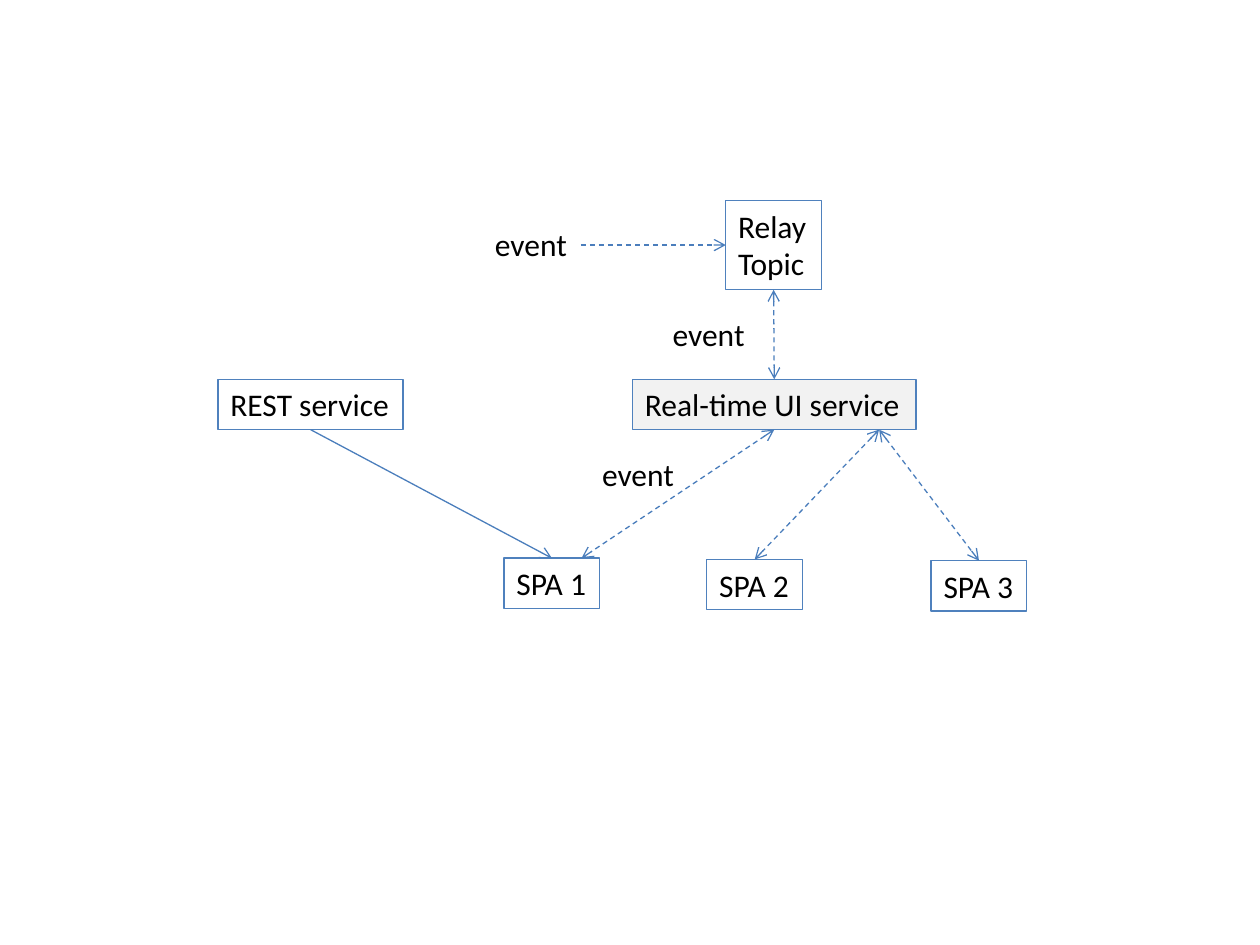
from lxml.etree import SubElement
from pptx import Presentation
from pptx.dml.color import RGBColor
from pptx.enum.dml import MSO_LINE
from pptx.enum.shapes import MSO_CONNECTOR
from pptx.enum.text import MSO_AUTO_SIZE
from pptx.oxml.ns import qn
from pptx.util import Inches, Pt

COLORS = {"text": "000000", "border": "4F81BD", "arrow": "4B7EBC", "service": "F2F2F2"}
NODE_H = 0.4


def rgb(name):
    return RGBColor.from_string(COLORS[name])


def add_label(slide, text, x, y, w, h=NODE_H):
    sp = slide.shapes.add_textbox(Inches(x), Inches(y), Inches(w), Inches(h))
    tf = sp.text_frame
    tf.text = text
    tf.word_wrap = False
    tf.auto_size = MSO_AUTO_SIZE.SHAPE_TO_FIT_TEXT
    for p in tf.paragraphs:
        p.font.name = "Calibri"
        p.font.size = Pt(18)
        p.font.color.rgb = rgb("text")
    return sp


def add_node(slide, text, x, y, w, h=NODE_H, fill=None):
    sp = add_label(slide, text, x, y, w, h)
    sp.line.color.rgb = rgb("border")
    sp.line.width = Pt(0.75)
    if fill:
        sp.fill.solid()
        sp.fill.fore_color.rgb = rgb(fill)
    return sp


def edge(sp, side, along=0.5):
    """Point on a side of a node, at a share of that side's length."""
    if side == "left":
        return sp.left, sp.top + int(sp.height * along)
    return sp.left + int(sp.width * along), sp.top + (sp.height if side == "bottom" else 0)


def add_arrow(slide, start, end, dashed=True, both_ends=True):
    s = slide.shapes.add_connector(MSO_CONNECTOR.STRAIGHT, *start, *end)
    s.line.color.rgb = rgb("arrow")
    s.line.width = Pt(0.75)
    if dashed:
        s.line.dash_style = MSO_LINE.DASH
    ln = s.line._get_or_add_ln()
    for tag in ("a:headEnd", "a:tailEnd") if both_ends else ("a:tailEnd",):
        SubElement(ln, qn(tag), type="arrow")
    SubElement(s._element.spPr, qn("a:effectLst"))


def add_event_flow(slide, x, y):
    """Services and the apps they feed, from the diagram's top left corner."""
    topic = add_node(slide, "Relay\nTopic", x + 4.03, y, 0.76, 0.71)
    rest = add_node(slide, "REST service", x, y + 1.42, 1.47)
    realtime = add_node(slide, "Real-time UI service", x + 3.29, y + 1.42, 2.25,
                        fill="service")
    spa1, spa2, spa3 = [
        add_node(slide, f"SPA {i}", x + dx, y + dy, 0.76)
        for i, (dx, dy) in enumerate([(2.27, 2.84), (3.88, 2.85), (5.66, 2.86)], 1)]

    source, *_ = [add_label(slide, "event", x + dx, y + dy, 0.78)
                  for dx, dy in [(2.1, 0.15), (3.51, 0.86), (2.95, 1.97)]]

    topic_in = edge(topic, "left")
    add_arrow(slide, (source.left + source.width, topic_in[1]), topic_in, both_ends=False)
    add_arrow(slide, edge(rest, "bottom"), edge(spa1, "top"), dashed=False, both_ends=False)
    add_arrow(slide, edge(topic, "bottom"), edge(realtime, "top"))
    add_arrow(slide, edge(realtime, "bottom"), edge(spa1, "top", 0.81))
    for spa in (spa2, spa3):
        add_arrow(slide, edge(realtime, "bottom", 0.87), edge(spa, "top"))


def main():
    prs = Presentation()
    prs.slide_width, prs.slide_height = Inches(10), Inches(7.5)
    slide = prs.slides.add_slide(prs.slide_layouts[6])
    add_event_flow(slide, 1.73, 1.59)
    prs.save("out.pptx")


if __name__ == "__main__":
    main()
